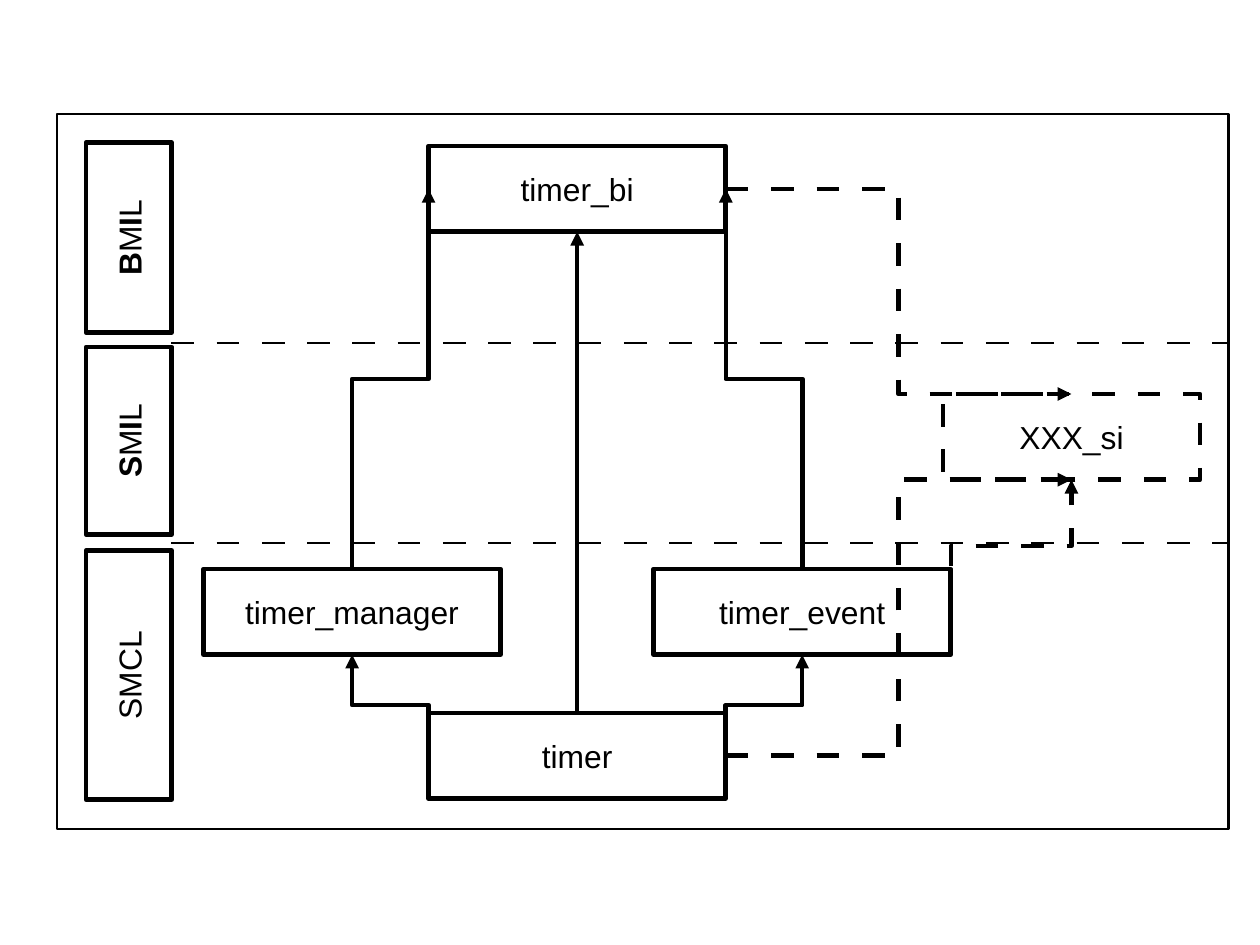
from lxml import etree
from pptx import Presentation
from pptx import util as u
from pptx.dml.color import RGBColor
from pptx.enum import shapes, text
from pptx.oxml.ns import qn

Pt = u.Pt
BLACK = "000000"
THICK, THIN = 2.89, 1.45
BOX_H = 54
DASH = 14.3


def color(hex_value):
    return RGBColor.from_string(hex_value)


def style_line(sp, width, dashed=False, arrow=False):
    sp.line.width = Pt(width)
    sp.line.fill.solid()
    sp.line.fill.fore_color.rgb = color(BLACK)
    ln = sp.line._get_or_add_ln()
    if dashed:
        size = str(round(DASH / width * 100) * 1000)
        dash = etree.SubElement(ln, qn("a:custDash"))
        etree.SubElement(dash, qn("a:ds"), d=size, sp=size)
    if arrow:
        etree.SubElement(ln, qn("a:tailEnd"), type="triangle")


def add_rect(s, x, y, w, h, width=THICK, dashed=False):
    sp = s.shapes.add_shape(shapes.MSO_SHAPE.RECTANGLE, Pt(x), Pt(y), Pt(w), Pt(h))
    sp.shadow.inherit = False
    sp.fill.background()
    style_line(sp, width, dashed)
    return sp


def add_label(sp, parts, bold=""):
    tf = sp.text_frame
    tf.word_wrap = True
    tf.vertical_anchor = text.MSO_ANCHOR.MIDDLE
    tf.margin_left = tf.margin_right = Pt(8.64)
    tf.margin_top = tf.margin_bottom = Pt(5)
    p = tf.paragraphs[0]
    p.alignment = text.PP_ALIGN.CENTER
    for part in parts:
        r = p.add_run()
        r.text = part
        r.font.name = "Arial"
        r.font.size = Pt(20)
        r.font.bold = part in bold
        r.font.color.rgb = color(BLACK)


def add_module(s, name, x, y, w=187.2, dashed=False):
    sp = add_rect(s, x, y, w, BOX_H, dashed=dashed)
    add_label(sp, [name])
    return sp


def add_layer(s, parts, center_y, length, bold=""):
    sp = add_rect(s, 81.2 - length / 2, center_y - BOX_H / 2, length, BOX_H)
    sp.rotation = 270
    add_label(sp, parts, bold)


def add_line(s, kind, start, end, width=THICK, dashed=False, arrow=True):
    c = s.shapes.add_connector(kind, *(int(v) for v in start + end))
    style_line(c, width, dashed, arrow)
    etree.SubElement(c._element.spPr, qn("a:effectLst"))
    return c


def add_rising_elbow(s, start, end, dashed=False):
    (x1, y1), (x2, y2) = start, end
    cx, cy = (x1 + x2) / 2, (y1 + y2) / 2
    rise, run = y1 - y2, x2 - x1
    c = add_line(s, shapes.MSO_CONNECTOR.ELBOW,
                 (cx - rise / 2, cy - run / 2), (cx + rise / 2, cy + run / 2), dashed=dashed)
    c._element.spPr.find(qn("a:xfrm")).set("rot", str(270 * 60000))


def side(sp, across, down):
    return sp.left + sp.width * across, sp.top + sp.height * down


def left(sp):
    return side(sp, 0, 0.5)


def right(sp):
    return side(sp, 1, 0.5)


def top(sp):
    return side(sp, 0.5, 0)


def bottom(sp):
    return side(sp, 0.5, 1)


def main():
    prs = Presentation()
    prs.slide_width, prs.slide_height = Pt(793.75), Pt(595.25)
    s = prs.slides.add_slide(prs.slide_layouts[6])
    straight, elbow = shapes.MSO_CONNECTOR.STRAIGHT, shapes.MSO_CONNECTOR.ELBOW

    timer = add_module(s, "timer", 270, 449)
    manager = add_module(s, "timer_manager", 128.2, 358.4)
    event = add_module(s, "timer_event", 411.8, 358.4)
    bi = add_module(s, "timer_bi", 270, 92)
    si = add_module(s, "XXX_si", 594, 248.2, 162, dashed=True)

    add_rising_elbow(s, left(timer), bottom(manager))
    add_rising_elbow(s, right(timer), bottom(event))
    add_rising_elbow(s, top(manager), left(bi))
    add_rising_elbow(s, top(event), right(bi))
    add_line(s, straight, top(timer), bottom(bi))

    add_layer(s, ["SMCL"], 425.2, 157)
    add_layer(s, list("SMIL"), 277.6, 118, bold="SI")
    add_layer(s, list("BMIL"), 149.6, 119.5, bold="BI")
    for y in (216, 342):
        add_line(s, straight, (Pt(108), Pt(y)), (Pt(774), Pt(y)), THIN, dashed=True, arrow=False)

    add_line(s, elbow, right(timer), bottom(si), dashed=True)
    add_rising_elbow(s, right(event), bottom(si), dashed=True)
    add_rect(s, 36, 72, 738, 450, THIN)
    add_line(s, elbow, right(bi), top(si), dashed=True)

    prs.save("out.pptx")


if __name__ == "__main__":
    main()
